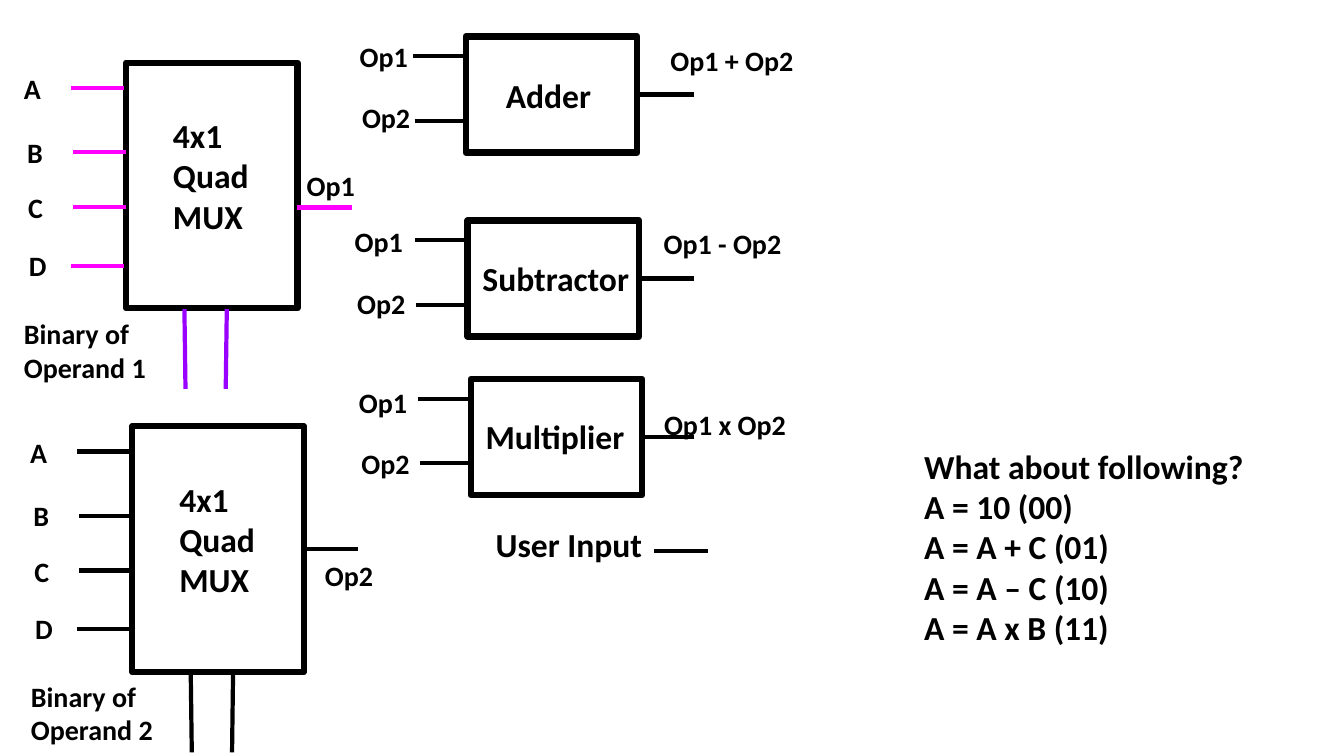
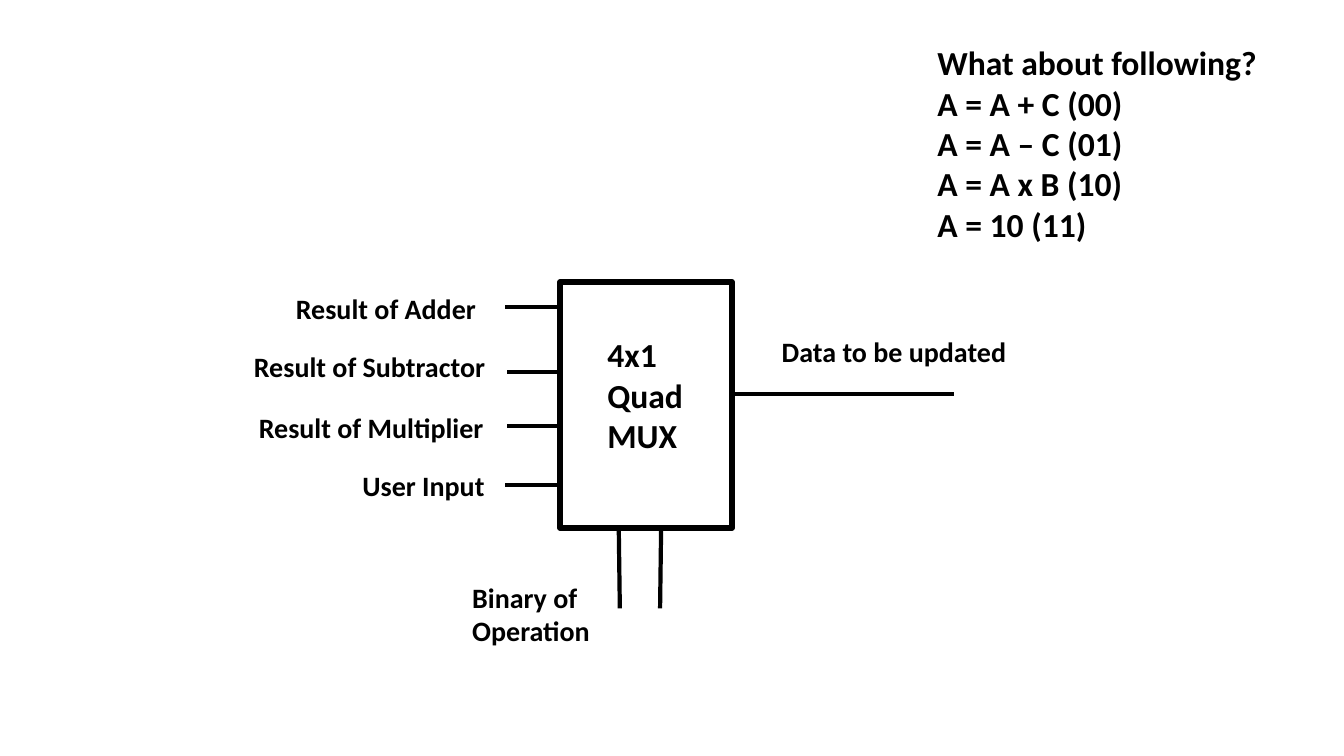
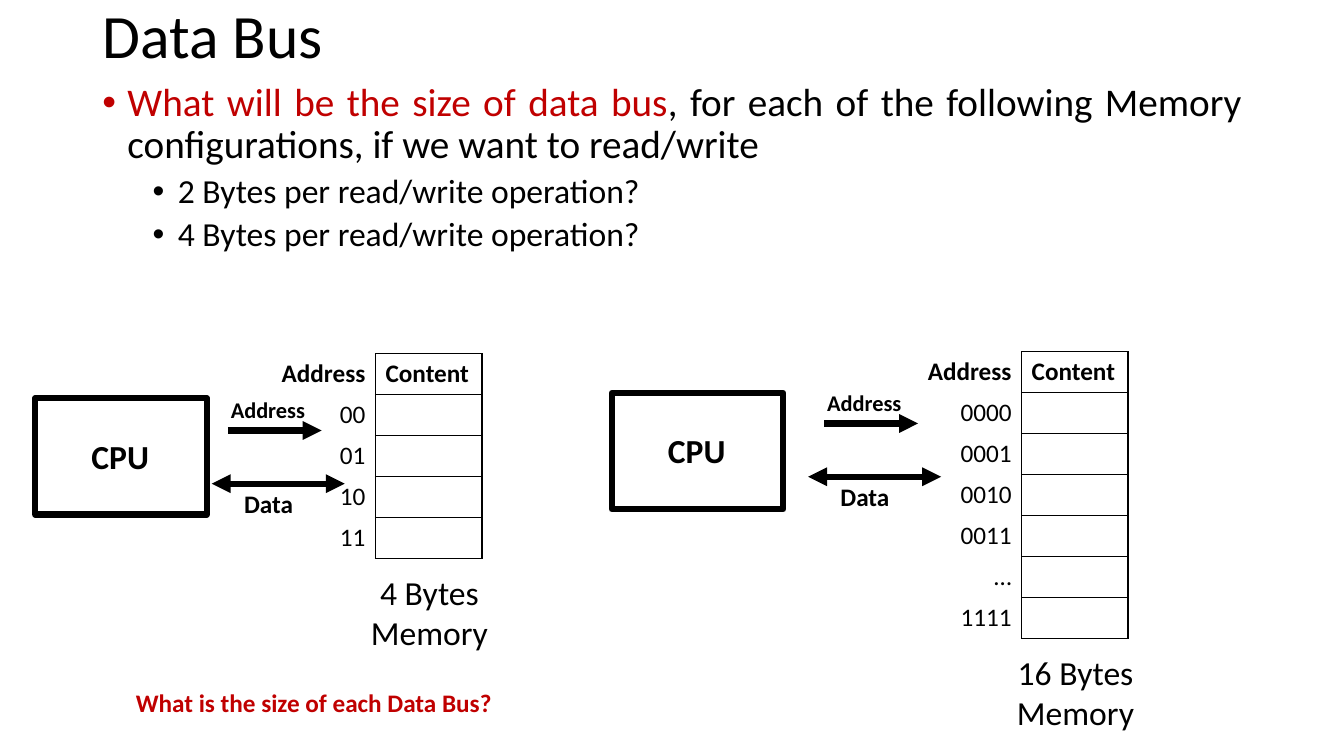
from dataclasses import dataclass
from typing import Optional

import pptx
import pptx.dml.color
import pptx.enum.shapes
import pptx.enum.text
import pptx.oxml.ns
import pptx.oxml.xmlchemy
import pptx.shapes.autoshape
import pptx.slide
import pptx.table
import pptx.util
from lxml import etree

Pt = pptx.util.Pt
Slide = pptx.slide.Slide
Shape = pptx.shapes.autoshape.Shape
Align = pptx.enum.text.PP_ALIGN
qn = pptx.oxml.ns.qn


@dataclass(frozen=True)
class Theme:
    font: str = "Calibri"
    black: str = "000000"
    red: str = "C00000"
    magenta: str = "FF00FF"
    violet: str = "9900FF"
    title: float = 44
    body: float = 28
    heading: float = 24
    label: float = 20
    small: float = 18
    tiny: float = 16
    wire: float = 3
    outline: float = 4.5
    border: float = 1


T = Theme()
MUX_W, MUX_H = 122.5, 175.5
UNIT_W, UNIT_H = 122.5, 83
PIN_LENGTH = 38
LABEL_H = 31.5
NAME_H = 36
RESULT_END_X = 496
COL_W, ROW_H = 76, 29.25
MUX_PINS = ((-39.5, 18), (-38, 64), (-38, 103), (-39.5, 145))
SELECT_PINS = ((42.5, 41.75), (71.25, 72))
UNIT_PINS = ((-37.5, 14), (-36.5, 60.25))


@dataclass(frozen=True)
class Label:
    text: str
    dx: float
    dy: float
    w: float


@dataclass(frozen=True)
class Mux:
    x: float
    y: float
    inputs: tuple[Label, ...]
    select: Label
    output: Label
    out_dy: float
    out_length: float
    wire: str = T.black
    select_wire: str = T.black


@dataclass(frozen=True)
class Unit:
    x: float
    y: float
    name: Label
    result: Label
    op_dx: float
    op_dy: float


@dataclass(frozen=True)
class Memory:
    cpu: tuple[float, float]
    bus: tuple[float, float]
    table: tuple[float, float]
    addresses: tuple[str, ...]
    caption: str


@dataclass(frozen=True)
class Bullet:
    runs: tuple[tuple[str, str], ...]
    level: int
    size: float
    indent: float
    before: float


OPERANDS = (
    Label("A", -80, 3, 26.5),
    Label("B", -77.75, 48.25, 26),
    Label("C", -77, 88, 25),
    Label("D", -76.5, 129, 27),
)
RESULTS = (
    Label("Result of Adder", -196, 3, 144.5),
    Label("Result of Subtractor", -226, 44.75, 181.5),
    Label("Result of Multiplier", -222.5, 88, 176.5),
    Label("User Input", -148.5, 129.5, 103),
)
OPERAND_MUXES = (
    Mux(90, 44.75, OPERANDS, Label("Binary of\nOperand 1", -80, 178, 102),
        Label("Op1", 122, 72, 49), 103.5, 39, T.magenta, T.violet),
    Mux(94.5, 304.5, OPERANDS, Label("Binary of\nOperand 2", -79.5, 177.25, 102),
        Label("Op2", 130.5, 90.75, 49), MUX_H / 2, 39),
)
RESULT_MUX = Mux(400.25, 201.5, RESULTS, Label("Binary of\nOperation", -70, 209.5, 99.5),
                 Label("Data to be updated", 151, 34, 176.5), 80, 158.5)
UNITS = (
    Unit(332.75, 26, Label("Adder", 21.5, 23.75, 76.5),
         Label("Op1 + Op2", 139, 1.5, 103), -83, -1.5),
    Unit(334, 157.5, Label("Subtractor", 3.5, 23, 120),
         Label("Op1 - Op2", 133, 0.75, 99.5), -87.75, -0.75),
    Unit(336.25, 270.75, Label("Multiplier", 3.5, 23, 114.5),
         Label("Op1 x Op2", 131, 16.5, 102), -87, 0.75),
)
MEMORIES = (
    Memory((25.25, 284.5), (151.25, 345.5), (192.25, 252.75),
           ("00", "01", "10", "11"), "4 Bytes\nMemory"),
    Memory((437, 280.75), (577.25, 340.5), (653.75, 251.25),
           ("0000", "0001", "0010", "0011", "…", "1111"), "16 Bytes\nMemory"),
)
BULLETS = (
    Bullet((("What will be the size of data bus", T.red),
            (", for each of the following Memory configurations, if we want to read/write", T.black)),
           0, T.body, 18, 10),
    Bullet((("2 Bytes per read/write operation?", T.black),), 1, T.heading, 54, 5),
    Bullet((("4 Bytes per read/write operation?", T.black),), 1, T.heading, 54, 5),
)


def rgb(color: str) -> pptx.dml.color.RGBColor:
    return pptx.dml.color.RGBColor.from_string(color)


def write(p, text: str, *, size: float, bold: bool = False, color: str = T.black,
          align: Optional[Align] = None) -> None:
    r = p.add_run()
    r.text = text
    r.font.name = T.font
    r.font.size = Pt(size)
    r.font.bold = bold
    r.font.color.rgb = rgb(color)
    if align is not None:
        p.alignment = align


def add_text(s: Slide, text: str, x: float, y: float, w: float, h: float, *,
             size: float = T.label, bold: bool = True, color: str = T.black,
             align: Optional[Align] = None, wrap: bool = False) -> None:
    tf = s.shapes.add_textbox(Pt(x), Pt(y), Pt(w), Pt(h)).text_frame
    tf.word_wrap = wrap
    tf.auto_size = pptx.enum.text.MSO_AUTO_SIZE.SHAPE_TO_FIT_TEXT
    for i, line in enumerate(text.split("\n")):
        p = tf.add_paragraph() if i else tf.paragraphs[0]
        write(p, line, size=size, bold=bold, color=color, align=align)


def add_label(s: Slide, label: Label, x: float, y: float, h: float = LABEL_H,
              size: float = T.label) -> None:
    add_text(s, label.text, x + label.dx, y + label.dy, label.w, h, size=size)


def add_rect(s: Slide, x: float, y: float, w: float, h: float) -> Shape:
    sp = s.shapes.add_shape(pptx.enum.shapes.MSO_SHAPE.RECTANGLE, Pt(x), Pt(y), Pt(w), Pt(h))
    sp.shadow.inherit = False
    sp.fill.background()
    sp.line.color.rgb = rgb(T.black)
    sp.line.width = Pt(T.outline)
    return sp


def add_line(s: Slide, x1: float, y1: float, x2: float, y2: float, *,
             color: str = T.black, width: float = T.wire, arrows: tuple[str, ...] = (),
             source: Optional[Shape] = None) -> None:
    cx = s.shapes.add_connector(pptx.enum.shapes.MSO_CONNECTOR.STRAIGHT,
                                Pt(x1), Pt(y1), Pt(x2), Pt(y2))
    cx.line.color.rgb = rgb(color)
    cx.line.width = Pt(width)
    ln = cx.line._get_or_add_ln()
    for end in arrows:
        etree.SubElement(ln, qn(f"a:{end}"), type="triangle")
    etree.SubElement(cx._element.spPr, qn("a:effectLst"))
    if source is not None:
        cx.begin_connect(source, 3)


def add_mux(s: Slide, mux: Mux) -> None:
    x, y = mux.x, mux.y
    sp = add_rect(s, x, y, MUX_W, MUX_H)
    add_text(s, "4x1\nQuad\nMUX", x + 26.5, y + 33.75, 69, 94.5, size=T.heading)
    for label, (dx, dy) in zip(mux.inputs, MUX_PINS):
        add_line(s, x + dx, y + dy, x + dx + PIN_LENGTH, y + dy, color=mux.wire)
        add_label(s, label, x, y)
    for bottom, top in SELECT_PINS:
        add_line(s, x + bottom, y + 233, x + top, y + 176, color=mux.select_wire)
    add_label(s, mux.select, x, y, 55.5)
    out_x, out_y = x + MUX_W, y + mux.out_dy
    centred = mux.out_dy == MUX_H / 2
    add_line(s, out_x, out_y, out_x + mux.out_length, out_y, color=mux.wire,
             source=sp if centred else None)
    add_label(s, mux.output, x, y)


def add_unit(s: Slide, unit: Unit) -> None:
    x, y = unit.x, unit.y
    sp = add_rect(s, x, y, UNIT_W, UNIT_H)
    add_label(s, unit.name, x, y, NAME_H, T.heading)
    for i, (dx, dy) in enumerate(UNIT_PINS):
        add_line(s, x + dx, y + dy, x + dx + PIN_LENGTH, y + dy)
        add_text(s, f"Op{i + 1}", x + unit.op_dx + 1.75 * i, y + unit.op_dy + 44 * i, 49, LABEL_H)
    middle = y + UNIT_H / 2
    add_line(s, x + UNIT_W, middle, RESULT_END_X, middle, source=sp)
    add_label(s, unit.result, x, y)


def add_question(s: Slide, x: float, y: float, operations: tuple[str, ...]) -> None:
    add_text(s, "\n".join(("What about following?",) + operations), x, y, 278.5, 152.5,
             size=T.heading, wrap=True)


def set_borders(cell: pptx.table._Cell, sides: str) -> None:
    tcPr = cell._tc.get_or_add_tcPr()
    for i, side in enumerate(sides):
        ln = etree.Element(qn(f"a:ln{side}"), w=str(Pt(T.border)))
        fill = etree.SubElement(ln, qn("a:solidFill"))
        etree.SubElement(fill, qn("a:srgbClr"), val=T.black)
        tcPr.insert(i, ln)


def add_memory_table(s: Slide, x: float, y: float, addresses: tuple[str, ...]) -> None:
    rows = ("Address",) + addresses
    table = s.shapes.add_table(len(rows), 2, Pt(x), Pt(y), Pt(2 * COL_W),
                               Pt(len(rows) * ROW_H)).table
    table.first_row = False
    table.horz_banding = False
    for i, address in enumerate(rows):
        table.rows[i].height = Pt(ROW_H)
        left, right = table.cell(i, 0), table.cell(i, 1)
        for cell, sides in ((left, "R"), (right, "LRTB")):
            cell.fill.background()
            set_borders(cell, sides)
        write(left.text_frame.paragraphs[0], address, size=T.small, bold=i == 0, align=Align.RIGHT)
    write(table.cell(0, 1).text_frame.paragraphs[0], "Content", size=T.small, bold=True)


def add_memory(s: Slide, memory: Memory) -> None:
    x, y = memory.cpu
    add_rect(s, x, y, UNIT_W, UNIT_H)
    add_text(s, "CPU", x + 33, y + 23, 56, NAME_H, size=T.heading)
    x, y = memory.table
    add_memory_table(s, x, y, memory.addresses)
    add_text(s, memory.caption, x + 64, y + (len(memory.addresses) + 1) * ROW_H + 6, 101, 65.5,
             size=T.heading, bold=False, align=Align.CENTER)
    x, y = memory.bus
    add_text(s, "Address", x + 6.5, y - 66.25, 68.5, 26.5, size=T.tiny)
    add_line(s, x + 11.5, y - 38, x + 78.5, y - 38, width=T.outline, arrows=("tailEnd",))
    add_line(s, x, y, x + 95, y, width=T.outline, arrows=("headEnd", "tailEnd"))
    add_text(s, "Data", x + 16, y, 49.5, 29, size=T.small)


def add_title(s: Slide, text: str) -> None:
    sp = s.shapes.title
    sp.left, sp.top, sp.width, sp.height = Pt(66), Pt(0), Pt(828), Pt(55.5)
    tf = sp.text_frame
    tf.auto_size = pptx.enum.text.MSO_AUTO_SIZE.NONE
    tf.vertical_anchor = pptx.enum.text.MSO_ANCHOR.MIDDLE
    p = tf.paragraphs[0]
    p.line_spacing = 0.9
    write(p, text, size=T.title, align=Align.LEFT)


def add_bullets(s: Slide, bullets: tuple[Bullet, ...]) -> None:
    tf = s.shapes.add_textbox(Pt(66), Pt(55.5), Pt(828), Pt(167)).text_frame
    tf.word_wrap = True
    for i, bullet in enumerate(bullets):
        p = tf.add_paragraph() if i else tf.paragraphs[0]
        p.level = bullet.level
        p.line_spacing = 0.9
        p.space_before = Pt(bullet.before)
        pPr = p._p.get_or_add_pPr()
        pPr.set("marL", str(Pt(bullet.indent)))
        pPr.set("indent", str(Pt(-18)))
        etree.SubElement(pPr, qn("a:buFont"), typeface="Arial")
        etree.SubElement(pPr, qn("a:buChar"), char="•")
        for text, color in bullet.runs:
            write(p, text, size=bullet.size, color=color, align=Align.JUSTIFY)


def build_operand_slide(s: Slide) -> None:
    for mux in OPERAND_MUXES:
        add_mux(s, mux)
    for unit in UNITS:
        add_unit(s, unit)
    add_text(s, "User Input", 347, 370.75, 120, NAME_H, size=T.heading)
    add_line(s, 467.5, 393.75, 505.5, 393.75)
    add_question(s, 653, 314.75,
                 ("A = 10 (00)", "A = A + C (01)", "A = A – C (10)", "A = A x B (11)"))


def build_result_slide(s: Slide) -> None:
    add_mux(s, RESULT_MUX)
    add_question(s, 662.5, 26.75,
                 ("A = A + C (00)", "A = A – C (01)", "A = A x B (10)", "A = 10 (11)"))


def build_bus_slide(s: Slide) -> None:
    add_title(s, "Data Bus")
    add_bullets(s, BULLETS)
    for memory in MEMORIES:
        add_memory(s, memory)
    add_text(s, "What is the size of each Data Bus?", 90, 487.5, 271.5, 29,
             size=T.small, color=T.red)


def main() -> None:
    prs = pptx.Presentation()
    prs.slide_width, prs.slide_height = Pt(960), Pt(540)
    title_only, blank = prs.slide_layouts[5], prs.slide_layouts[6]
    build_operand_slide(prs.slides.add_slide(blank))
    build_result_slide(prs.slides.add_slide(blank))
    build_bus_slide(prs.slides.add_slide(title_only))
    prs.save("out.pptx")


if __name__ == "__main__":
    main()
